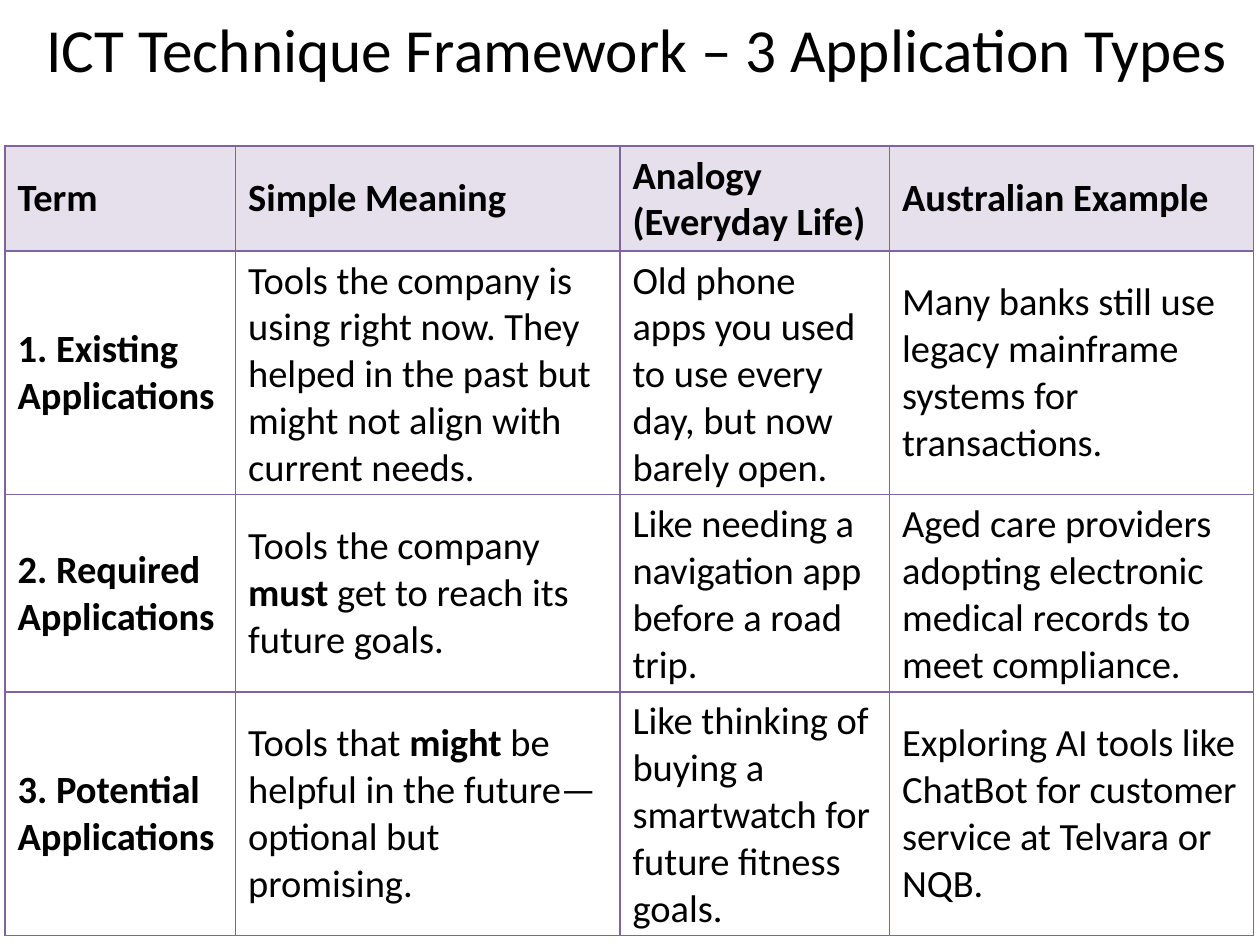
from pptx import Presentation
from pptx.util import Inches, Pt
from pptx.dml.color import RGBColor
from pptx.enum.text import PP_ALIGN, MSO_ANCHOR
from pptx.oxml import parse_xml
from pptx.oxml.ns import nsdecls

THEME = {
    "font": "Calibri",
    "text": RGBColor.from_string("000000"),
    "header_fill": RGBColor.from_string("E6E0EC"),
    "border": "8064A2",
    "border_width": Pt(1),
    "title_size": Pt(35),
    "table_size": Pt(22),
}


def add_run(paragraph, text, size, bold=False):
    run = paragraph.add_run()
    run.text = text
    run.font.name = THEME["font"]
    run.font.size = size
    run.font.bold = bold
    run.font.color.rgb = THEME["text"]


def add_borders(cell):
    properties = cell._tc.get_or_add_tcPr()
    for position, side in enumerate(("lnL", "lnR", "lnT", "lnB")):
        border = parse_xml(
            f'<a:{side} {nsdecls("a")} w="{THEME["border_width"]}"><a:solidFill>'
            f'<a:srgbClr val="{THEME["border"]}"/></a:solidFill></a:{side}>'
        )
        properties.insert(position, border)


presentation = Presentation()
presentation.slide_width = Inches(10)
presentation.slide_height = Inches(7.5)
slide = presentation.slides.add_slide(presentation.slide_layouts[6])

title = slide.shapes.add_textbox(Inches(0), Inches(0.09), Inches(10.11), Inches(0.59))
title_frame = title.text_frame
title_frame.word_wrap = True
title_frame.margin_left = title_frame.margin_right = 0
title_frame.margin_top = title_frame.margin_bottom = 0
title_paragraph = title_frame.paragraphs[0]
title_paragraph.alignment = PP_ALIGN.CENTER
add_run(title_paragraph, "ICT Technique Framework – 3 Application Types", THEME["title_size"])

rows = [
    ["Term", "Simple Meaning", "Analogy (Everyday Life)", "Australian Example"],
    [
        "1. Existing Applications",
        "Tools the company is using right now. They helped in the past but "
        "might not align with current needs.",
        "Old phone apps you used to use every day, but now barely open.",
        "Many banks still use legacy mainframe systems for transactions.",
    ],
    [
        "2. Required Applications",
        "Tools the company *must* get to reach its future goals.",
        "Like needing a navigation app before a road trip.",
        "Aged care providers adopting electronic medical records to meet compliance.",
    ],
    [
        "3. Potential Applications",
        "Tools that *might* be helpful in the future—optional but promising.",
        "Like thinking of buying a smartwatch for future fitness goals.",
        "Exploring AI tools like ChatBot for customer service at Telvara or NQB.",
    ],
]
column_widths = [1.83, 3.05, 2.14, 2.89]
row_heights = [0.83, 1.93, 1.56, 1.93]

table = slide.shapes.add_table(
    len(rows), len(column_widths),
    Inches(0.04), Inches(1.16), Inches(9.92), Inches(6.25),
).table
table.horz_banding = False
for column, width in zip(table.columns, column_widths):
    column.width = Inches(width)
for row, height in zip(table.rows, row_heights):
    row.height = Inches(height)

for row_index, texts in enumerate(rows):
    for column_index, text in enumerate(texts):
        cell = table.cell(row_index, column_index)
        cell.vertical_anchor = MSO_ANCHOR.MIDDLE
        if row_index == 0:
            cell.fill.solid()
            cell.fill.fore_color.rgb = THEME["header_fill"]
        else:
            cell.fill.background()
        add_borders(cell)
        heading = row_index == 0 or column_index == 0
        paragraph = cell.text_frame.paragraphs[0]
        for part_index, part in enumerate(text.split("*")):
            add_run(paragraph, part, THEME["table_size"], heading or part_index % 2 == 1)

presentation.save("out.pptx")
